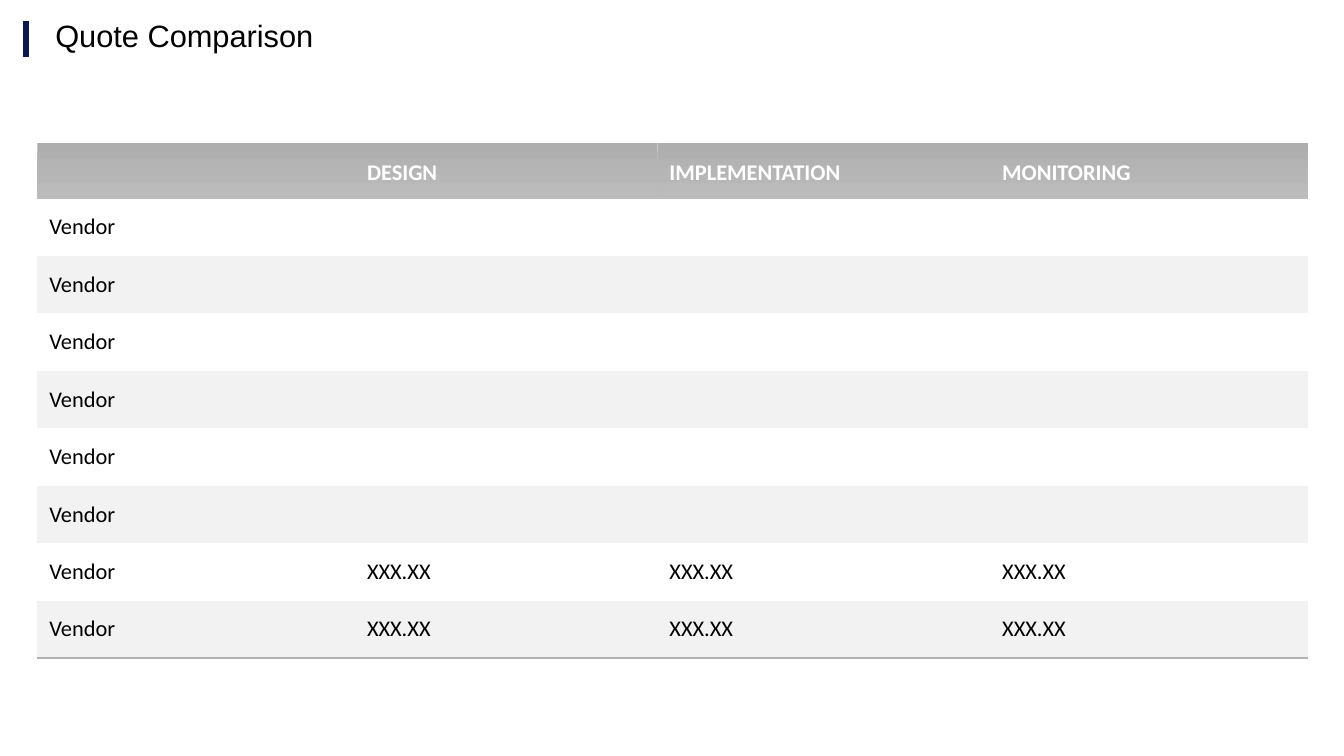
from lxml import etree
from pptx import Presentation, util as u
from pptx.dml.color import RGBColor
from pptx.enum import shapes, text
from pptx.oxml import ns

COLORS = {
    "accent": "0A1750",
    "ink": "000000",
    "paper": "FFFFFF",
    "band": "F2F2F2",
    "header_top": "AEAEAE",
    "header_bottom": "BCBCBC",
    "rule": "B2B2B2",
}
WIDTH, HEIGHT = u.Inches(13.33), u.Inches(7.5)
UNIT = u.Inches(0.15)
COLUMN_UNITS = [21, 20, 22, 21]
HEADER_HEIGHT, VENDOR_HEIGHT = u.Inches(0.55), u.Inches(0.57)
NO_STYLE = "{2D5ABB26-0587-4C30-8999-92F81FD0307C}"

STAGES = ["", "DESIGN", "IMPLEMENTATION", "MONITORING"]
UNQUOTED = ["Vendor", "", "", ""]
QUOTED = ["Vendor", "XXX.XX", "XXX.XX", "XXX.XX"]
QUOTES = [UNQUOTED] * 6 + [QUOTED] * 2


def rgb(name):
    return RGBColor.from_string(COLORS[name])


def add_words(paragraph, words, font, size, color, bold=False):
    run = paragraph.add_run()
    run.text = words
    run.font.name = font
    run.font.size = u.Pt(size)
    run.font.bold = bold
    run.font.color.rgb = rgb(color)


def add_accent(slide):
    x = int(WIDTH * 0.0195)
    accent = slide.shapes.add_connector(
        shapes.MSO_CONNECTOR.STRAIGHT, x, int(HEIGHT * 0.028), x, int(HEIGHT * 0.075))
    accent.line.color.rgb = rgb("accent")
    accent.line.width = u.Pt(4.5)
    etree.SubElement(accent._element.spPr, ns.qn("a:effectLst"))


def add_title(slide, words):
    title = slide.shapes.add_textbox(UNIT * 3, 0, int(WIDTH * 0.64), int(HEIGHT * 0.1))
    frame = title.text_frame
    frame.word_wrap = True
    frame.vertical_anchor = text.MSO_ANCHOR.MIDDLE
    frame.paragraphs[0].line_spacing = 0.9
    add_words(frame.paragraphs[0], words, "Arial", 22, "ink")


def set_cell(cell, words, anchor, inset, color, bold=False):
    cell.vertical_anchor = anchor
    cell.margin_left = cell.margin_right = u.Inches(0.12)
    cell.margin_top = cell.margin_bottom = u.Inches(inset)
    paragraph = cell.text_frame.paragraphs[0]
    if words:
        add_words(paragraph, words, "Calibri", 16, color, bold)
    else:
        paragraph.font.size = u.Pt(16)


def fill_header(cell):
    cell.fill.gradient()
    cell.fill.gradient_angle = 270
    for stop, color in zip(cell.fill.gradient_stops, ["header_top", "header_bottom"]):
        stop.color.rgb = rgb(color)


def fill_band(cell, color):
    cell.fill.solid()
    cell.fill.fore_color.rgb = rgb(color)


def add_bottom_rule(cell):
    rule = etree.Element(ns.qn("a:lnB"), w=str(u.Pt(1)))
    fill = etree.SubElement(rule, ns.qn("a:solidFill"))
    etree.SubElement(fill, ns.qn("a:srgbClr"), val=COLORS["rule"])
    cell._tc.get_or_add_tcPr().insert(0, rule)


def add_quotes(slide):
    height = HEADER_HEIGHT + VENDOR_HEIGHT * len(QUOTES)
    quotes = slide.shapes.add_table(
        len(QUOTES) + 1, len(STAGES), int(WIDTH * 0.0278), int(HEIGHT * 0.1893),
        UNIT * sum(COLUMN_UNITS), height).table
    quotes.horz_banding = False
    quotes._tbl.tblPr.find(ns.qn("a:tableStyleId")).text = NO_STYLE
    for column, units in zip(quotes.columns, COLUMN_UNITS):
        column.width = UNIT * units
    quotes.rows[0].height = HEADER_HEIGHT
    for cell, stage in zip(quotes.rows[0].cells, STAGES):
        set_cell(cell, stage, text.MSO_ANCHOR.BOTTOM, 0.12, "paper", True)
        fill_header(cell)
    for number, values in enumerate(QUOTES, 1):
        quotes.rows[number].height = VENDOR_HEIGHT
        for cell, value in zip(quotes.rows[number].cells, values):
            set_cell(cell, value, text.MSO_ANCHOR.MIDDLE, 0.08, "ink")
            fill_band(cell, "paper" if number % 2 else "band")
            if number == len(QUOTES):
                add_bottom_rule(cell)


def main():
    deck = Presentation()
    deck.slide_width, deck.slide_height = WIDTH, HEIGHT
    slide = deck.slides.add_slide(deck.slide_layouts[6])
    add_accent(slide)
    add_title(slide, "Quote Comparison")
    add_quotes(slide)
    deck.save("out.pptx")


if __name__ == "__main__":
    main()
